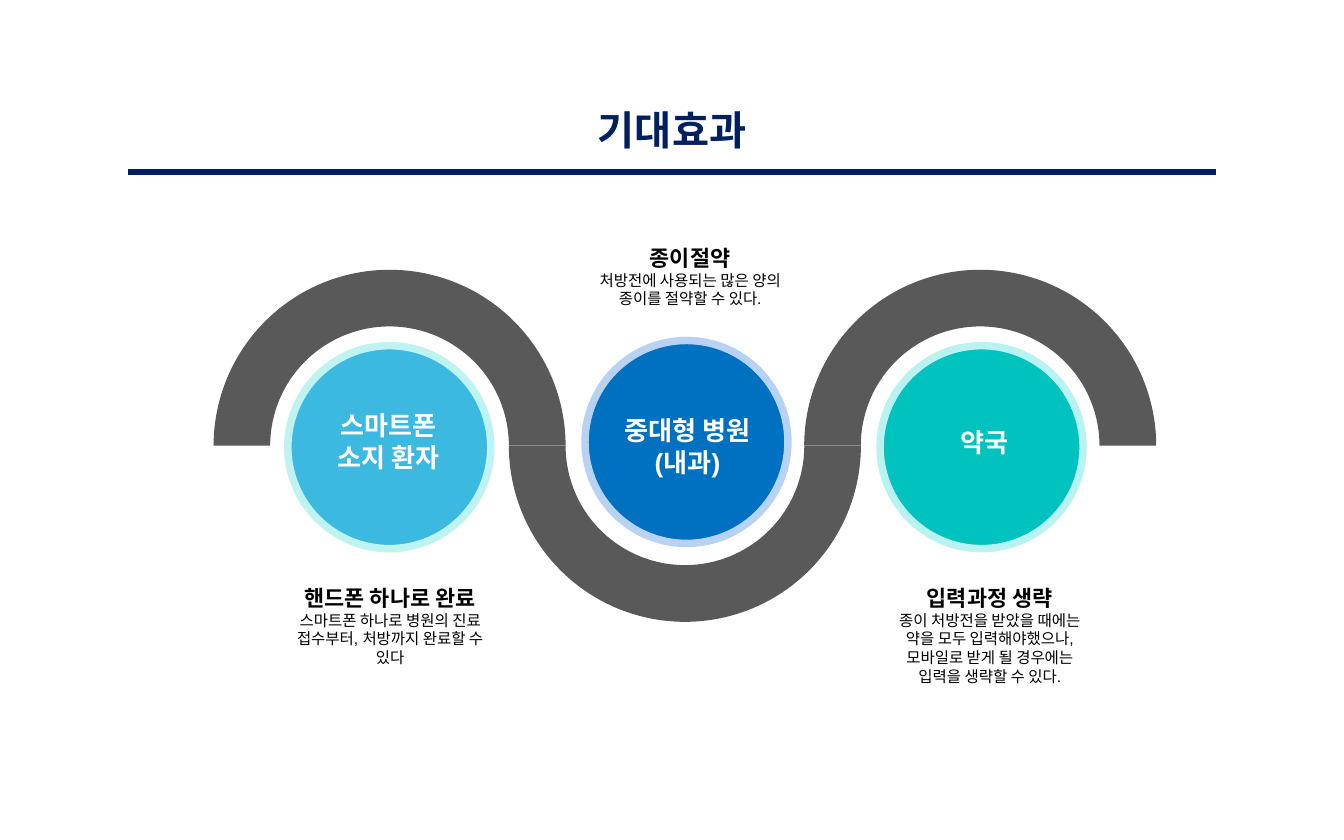
from lxml import etree
from pptx import Presentation
from pptx.dml.color import RGBColor
from pptx.enum import shapes, text
from pptx.util import Pt


def paint(target, color):
    """Fill a shape, or colour a font or line, from a hex string."""
    if hasattr(target, "fill") and hasattr(target, "shadow"):
        target.fill.solid()
        target.fill.fore_color.rgb = RGBColor.from_string(color)
    else:
        target.color.rgb = RGBColor.from_string(color)


def write(page, left, top, width, height, lines, color, margins):
    """Add a centred text box; each line is (wording, size, bold)."""
    box = page.shapes.add_textbox(Pt(left), Pt(top), Pt(width), Pt(height))
    frame = box.text_frame
    frame.word_wrap = True
    frame.margin_left = frame.margin_right = Pt(margins[0])
    frame.margin_top = frame.margin_bottom = Pt(margins[1])
    for index, (wording, size, bold) in enumerate(lines):
        para = frame.paragraphs[0] if index == 0 else frame.add_paragraph()
        para.text = wording
        para.alignment = text.PP_ALIGN.CENTER
        para.font.name = "Arial"
        para.font.size = Pt(size)
        para.font.bold = bold
        paint(para.font, color)


deck = Presentation()
deck.slide_width, deck.slide_height = Pt(720), Pt(450)
page = deck.slides.add_slide(deck.slide_layouts[5])

# Title
title = page.shapes.title
title.left, title.top, title.width, title.height = Pt(310), Pt(52.5), Pt(100), Pt(33)
frame = title.text_frame
frame.text = "기대효과"
frame.word_wrap = False
frame.auto_size = text.MSO_AUTO_SIZE.NONE
frame.vertical_anchor = text.MSO_ANCHOR.TOP
para = frame.paragraphs[0]
para.alignment = text.PP_ALIGN.CENTER
para.font.name = "Noto Sans CJK KR"
para.font.size = Pt(21.6)
para.font.bold = True
paint(para.font, "002060")

# Rule under the title
rule = page.shapes.add_connector(
    shapes.MSO_CONNECTOR.STRAIGHT, Pt(68.5), Pt(92), Pt(651.5), Pt(92))
rule.line.width = Pt(3)
paint(rule.line, "002060")
etree.SubElement(
    rule._element.spPr,
    "{http://schemas.openxmlformats.org/drawingml/2006/main}effectLst")

# Winding road: three half rings, the middle one turned upside down
for index in range(3):
    arc = page.shapes.add_shape(
        shapes.MSO_SHAPE.BLOCK_ARC,
        Pt(114.4 + 158.2 * index), Pt(144.5), Pt(188.6), Pt(188.6))
    for number, value in enumerate((108, 0, 0.161)):
        arc.adjustments[number] = value
    arc.rotation = 180 if index == 1 else 0
    arc.shadow.inherit = False
    paint(arc, "595959")
    arc.line.fill.background()

# Stations: circle left, top, fill, ring, label left, label top, label lines
stations = [
    (154.2, 185.2, "3CB9E0", "BFF3F1", 141.8, 216, ["스마트폰", "소지 환자"]),
    (313.4, 182.4, "0070C0", "B7D2F3", 302.1, 218.7, ["중대형 병원", "(내과)"]),
    (471.5, 185.2, "00C2BF", "B8F2F1", 461.2, 224.7, ["약국"]),
]
for left, top, fill, ring, label_left, label_top, lines in stations:
    circle = page.shapes.add_shape(
        shapes.MSO_SHAPE.OVAL, Pt(left), Pt(top), Pt(108.7), Pt(108.7))
    circle.shadow.inherit = False
    paint(circle, fill)
    circle.line.width = Pt(4)
    paint(circle.line, ring)
    write(page, label_left, label_top, 132.5, 24.2 if len(lines) == 1 else 41,
          [(line, 14, True) for line in lines], "FFFFFF", (7.2, 3.6))

# Effects: left, top, height, heading, details
effects = [
    (147.5, 310.2, 50.4, "핸드폰 하나로 완료",
     ["스마트폰 하나로 병원의 진료 접수부터, 처방까지 완료할 수 있다"]),
    (308.2, 128, 40.3, "종이절약",
     ["처방전에 사용되는 많은 양의 종이를 절약할 수 있다."]),
    (468.7, 310.2, 60.5, "입력과정 생략",
     ["종이 처방전을 받았을 때에는 약을 모두 입력해야했으나,",
      "모바일로 받게 될 경우에는 입력을 생략할 수 있다."]),
]
for left, top, height, heading, details in effects:
    lines = [(heading, 11.7, True)] + [(detail, 8.3, False) for detail in details]
    write(page, left, top, 123, height, lines, "000000", (6, 3))

deck.save("out.pptx")
